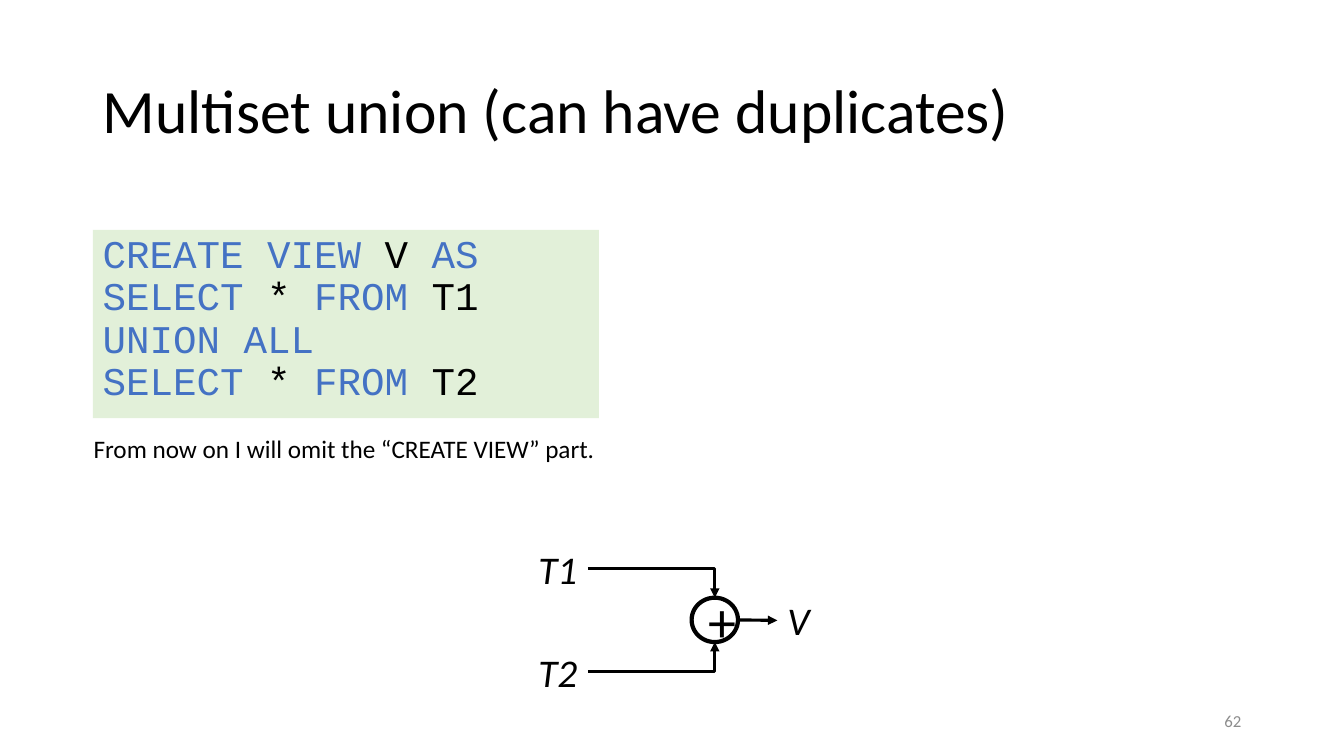
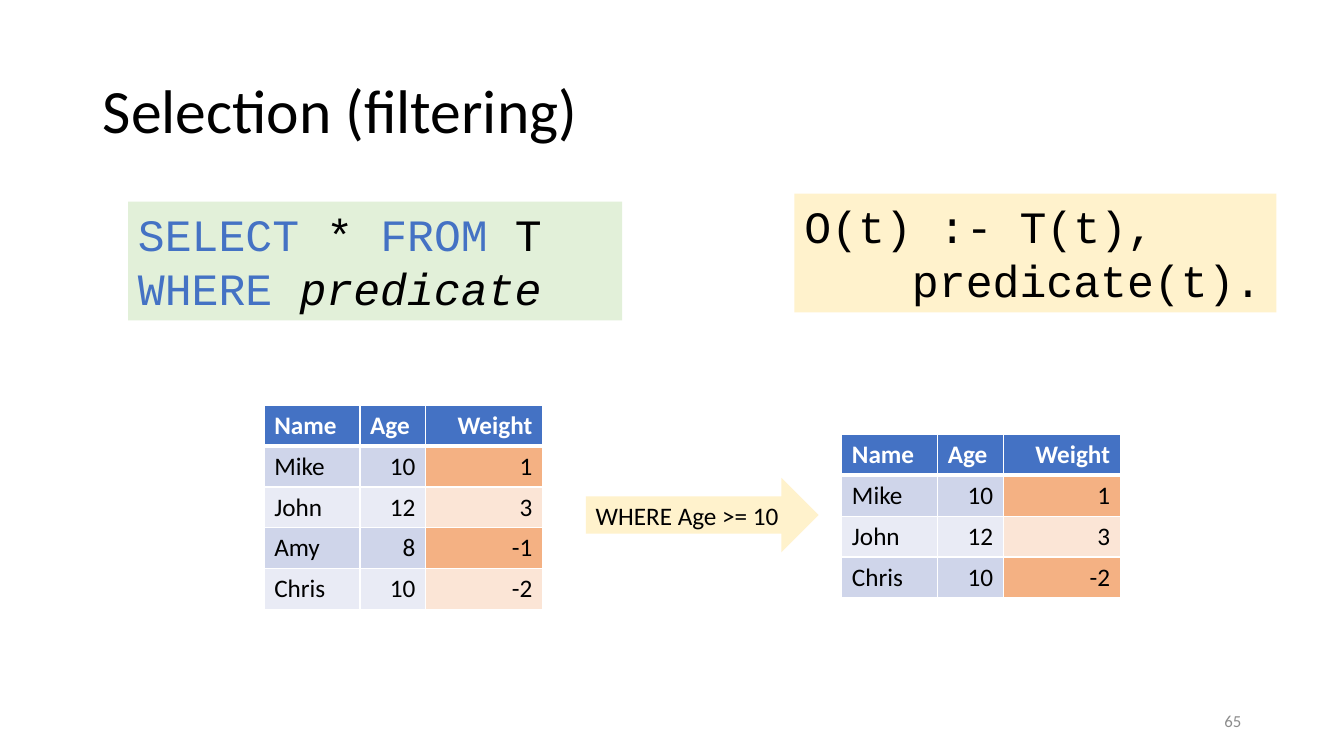
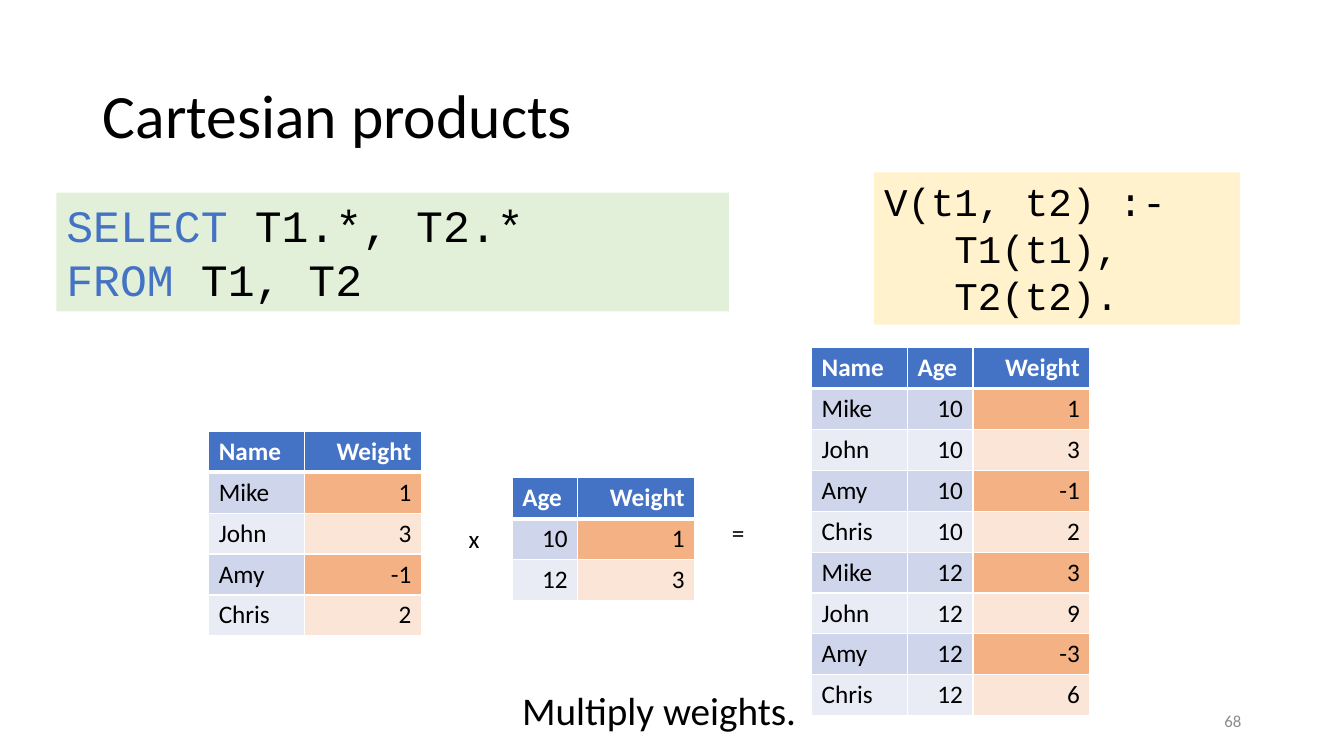
from itertools import groupby

from lxml.etree import SubElement
from pptx import Presentation
from pptx.dml.color import RGBColor
from pptx.enum.shapes import MSO_CONNECTOR as LINK, MSO_SHAPE as SHAPE
from pptx.enum.text import MSO_ANCHOR as ANCHOR, MSO_AUTO_SIZE as FIT, PP_ALIGN as ALIGN
from pptx.oxml import parse_xml
from pptx.oxml.ns import nsdecls, qn
from pptx.util import Inches, Pt

BLACK = RGBColor(0x00, 0x00, 0x00)
WHITE = RGBColor(0xFF, 0xFF, 0xFF)
GRAY = RGBColor(0x8C, 0x8C, 0x8C)
BLUE = RGBColor(0x44, 0x72, 0xC4)
GREEN = RGBColor(0xE2, 0xF0, 0xD9)
YELLOW = RGBColor(0xFF, 0xF2, 0xCC)
DATA_BANDS = RGBColor(0xCF, 0xD5, 0xEA), RGBColor(0xE9, 0xEB, 0xF5)
WEIGHT_BANDS = RGBColor(0xF4, 0xB1, 0x83), RGBColor(0xFB, 0xE5, 0xD6)

SANS, MONO = "Calibri", "Courier New"
KEYWORDS = {"CREATE", "VIEW", "AS", "SELECT", "FROM", "UNION", "ALL", "WHERE"}
COLUMN_WIDTHS = {"Name": 0.95, "Age": 0.65, "Weight": 1.16}
ROW_HEIGHT = 0.4
TITLE_ONLY = 5


def write(frame, text, size=18, color=BLACK, font=SANS, bold=False, italic=False,
          align=ALIGN.LEFT, anchor=ANCHOR.TOP, spacing=None, wrap=True):
    """Fill a frame with one paragraph; text is a string or lines of (words, color, italic)."""
    lines = [[(text, color, italic)]] if isinstance(text, str) else text
    frame.word_wrap = wrap
    frame.auto_size = FIT.NONE if wrap else FIT.SHAPE_TO_FIT_TEXT
    frame.vertical_anchor = anchor
    paragraph = frame.paragraphs[0]
    paragraph.alignment = align
    paragraph.line_spacing = spacing
    for number, line in enumerate(lines):
        if number:
            paragraph.add_line_break()
        for words, run_color, run_italic in line:
            run = paragraph.add_run()
            run.text = words
            run.font.name, run.font.size = font, Pt(size)
            run.font.bold, run.font.italic = bold, run_italic
            run.font.color.rgb = run_color


def highlight(line, italic_word=None):
    """Split a line of code into runs, with the SQL keywords in blue."""
    def style(token):
        word = token.strip()
        return (BLUE if word in KEYWORDS else BLACK), word == italic_word

    *others, last = line.split(" ")
    tokens = [word + " " for word in others] + [last]
    return [("".join(group), *look) for look, group in groupby(tokens, style)]


def set_borders(cell, top=1, bottom=1):
    properties = cell._tc.get_or_add_tcPr()
    for place, (side, width) in enumerate(zip("LRTB", (1, 1, top, bottom))):
        properties.insert(place, parse_xml(
            f'<a:ln{side} {nsdecls("a")} w="{Pt(width)}"><a:solidFill>'
            f'<a:srgbClr val="{WHITE}"/></a:solidFill></a:ln{side}>'))


class Deck:
    def __init__(self):
        self.file = Presentation()
        self.file.slide_width, self.file.slide_height = Inches(13.33), Inches(7.5)
        self.slide = None

    def start(self, title, number, top=0.4):
        self.slide = self.file.slides.add_slide(self.file.slide_layouts[TITLE_ONLY])
        heading = self.slide.shapes.title
        heading.left, heading.top = Inches(0.92), Inches(top)
        heading.width, heading.height = Inches(11.5), Inches(1.45)
        write(heading.text_frame, title, size=44, anchor=ANCHOR.MIDDLE, spacing=0.9)
        self.label(number, 11.99, 6.95, 0.42, 0.4, size=12, color=GRAY,
                   align=ALIGN.RIGHT, anchor=ANCHOR.MIDDLE)

    def label(self, text, left, top, width, height, **style):
        box = self.slide.shapes.add_textbox(*map(Inches, (left, top, width, height)))
        write(box.text_frame, text, **style)
        return box

    def shape(self, kind, text, left, top, width, height, fill, outline=None, **style):
        shape = self.slide.shapes.add_shape(kind, *map(Inches, (left, top, width, height)))
        shape.shadow.inherit = False
        shape.fill.solid()
        shape.fill.fore_color.rgb = fill
        if outline:
            shape.line.color.rgb, shape.line.width = BLACK, Pt(outline)
        else:
            shape.line.fill.background()
        write(shape.text_frame, text, **style)
        return shape

    def code(self, source, left, top, width, height, fill=GREEN, size=32,
             italic_word=None, spacing=None):
        lines = [highlight(line, italic_word) for line in source.split("\n")]
        self.shape(SHAPE.RECTANGLE, lines, left, top, width, height, fill,
                   size=size, font=MONO, spacing=spacing)

    def arrow(self, start, end, bent=False):
        """Draw an arrow; a bent one runs sideways first and then up or down."""
        arrow = self.slide.shapes.add_connector(
            LINK.ELBOW if bent else LINK.STRAIGHT, *map(Inches, (*start, *end)))
        arrow.line.color.rgb, arrow.line.width = BLACK, Pt(2.25)
        properties = arrow._element.spPr
        if bent:
            properties.find(qn("a:prstGeom")).set("prst", "bentConnector2")
        SubElement(properties.find(qn("a:ln")), qn("a:tailEnd"), type="triangle")
        SubElement(properties, qn("a:effectLst"))
        return arrow

    def table(self, left, top, header, *records):
        rows = [header, *records]
        widths = [COLUMN_WIDTHS[name] for name in header]
        grid = self.slide.shapes.add_table(
            len(rows), len(header), Inches(left), Inches(top),
            Inches(sum(widths)), Inches(ROW_HEIGHT * len(rows))).table
        for column, width in zip(grid.columns, widths):
            column.width = Inches(width)
        for r, row in enumerate(rows):
            grid.rows[r].height = Inches(ROW_HEIGHT)
            for c, (name, value) in enumerate(zip(header, row)):
                is_header, is_weight = r == 0, name == "Weight"
                cell = grid.cell(r, c)
                bands = WEIGHT_BANDS if is_weight else DATA_BANDS
                cell.fill.solid()
                cell.fill.fore_color.rgb = BLUE if is_header else bands[(r - 1) % 2]
                set_borders(cell, top=3 if r == 1 else 1, bottom=3 if is_header else 1)
                to_right = is_weight or isinstance(value, int)
                write(cell.text_frame, str(value), bold=is_header,
                      color=WHITE if is_header else BLACK,
                      align=ALIGN.RIGHT if to_right else ALIGN.LEFT)


def union_slide(deck):
    deck.start("Multiset union (can have duplicates)", "62")
    deck.code("CREATE VIEW V AS\nSELECT * FROM T1\nUNION ALL\nSELECT * FROM T2",
              0.92, 2.28, 5.02, 1.87, size=28, spacing=0.9)
    deck.label("From now on I will omit the “CREATE VIEW” part.", 0.83, 4.25, 5.23, 0.4)

    center_x, center_y, radius = 7.09, 6.15, 0.22
    deck.shape(SHAPE.OVAL, "+", 6.86, 5.93, 0.46, 0.44, WHITE, outline=3,
               size=40, align=ALIGN.CENTER, anchor=ANCHOR.MIDDLE)
    for name, side in (("T1", -1), ("T2", 1)):
        y = center_y + side * 0.51
        deck.label(name, 5.24, y - 0.28, 0.59, 0.57, size=28, italic=True, wrap=False)
        deck.arrow((5.83, y), (center_x, center_y + side * radius), bent=True)
    result = deck.label("V", 7.71, 5.87, 0.42, 0.57, size=28, italic=True, wrap=False)
    deck.arrow((7.33, center_y), (7.71, center_y)).end_connect(result, 1)


def selection_slide(deck):
    deck.start("Selection (filtering)", "65")
    deck.code("O(t) :- T(t),\n    predicate(t).", 7.88, 1.92, 4.78, 1.18, YELLOW)
    deck.code("SELECT * FROM T\nWHERE predicate", 1.27, 2, 4.9, 1.18,
              italic_word="predicate")
    header = "Name", "Age", "Weight"
    people = [("Mike", 10, 1), ("John", 12, 3), ("Amy", 8, -1), ("Chris", 10, -2)]
    deck.table(2.62, 4.02, header, *people)
    deck.table(8.35, 4.31, header, *[person for person in people if person[1] >= 10])
    deck.shape(SHAPE.RIGHT_ARROW, "WHERE Age >= 10", 5.81, 4.74, 2.31, 0.74, YELLOW,
               anchor=ANCHOR.MIDDLE)


def product_slide(deck):
    deck.start("Cartesian products", "68", top=0.45)
    deck.code("V(t1, t2) :-\n   T1(t1),\n   T2(t2).", 8.67, 1.71, 3.63, 1.51, YELLOW, size=28)
    deck.code("SELECT T1.*, T2.*\nFROM T1, T2", 0.56, 1.91, 6.67, 1.18)
    names = [("Mike", 1), ("John", 3), ("Amy", -1), ("Chris", 2)]
    ages = [(10, 1), (12, 3)]
    product = [(name, age, first * second) for age, second in ages for name, first in names]
    deck.table(2.07, 4.28, ("Name", "Weight"), *names)
    deck.table(5.08, 4.74, ("Age", "Weight"), *ages)
    deck.table(8.05, 3.45, ("Name", "Age", "Weight"), *product)
    deck.label("x", 4.55, 5.14, 0.31, 0.4, wrap=False)
    deck.label("=", 7.16, 5.08, 0.33, 0.4, wrap=False)
    deck.label("Multiply weights.", 5.08, 6.76, 4.01, 0.57, size=28)


def main():
    deck = Deck()
    for build in (union_slide, selection_slide, product_slide):
        build(deck)
    deck.file.save("out.pptx")


if __name__ == "__main__":
    main()
